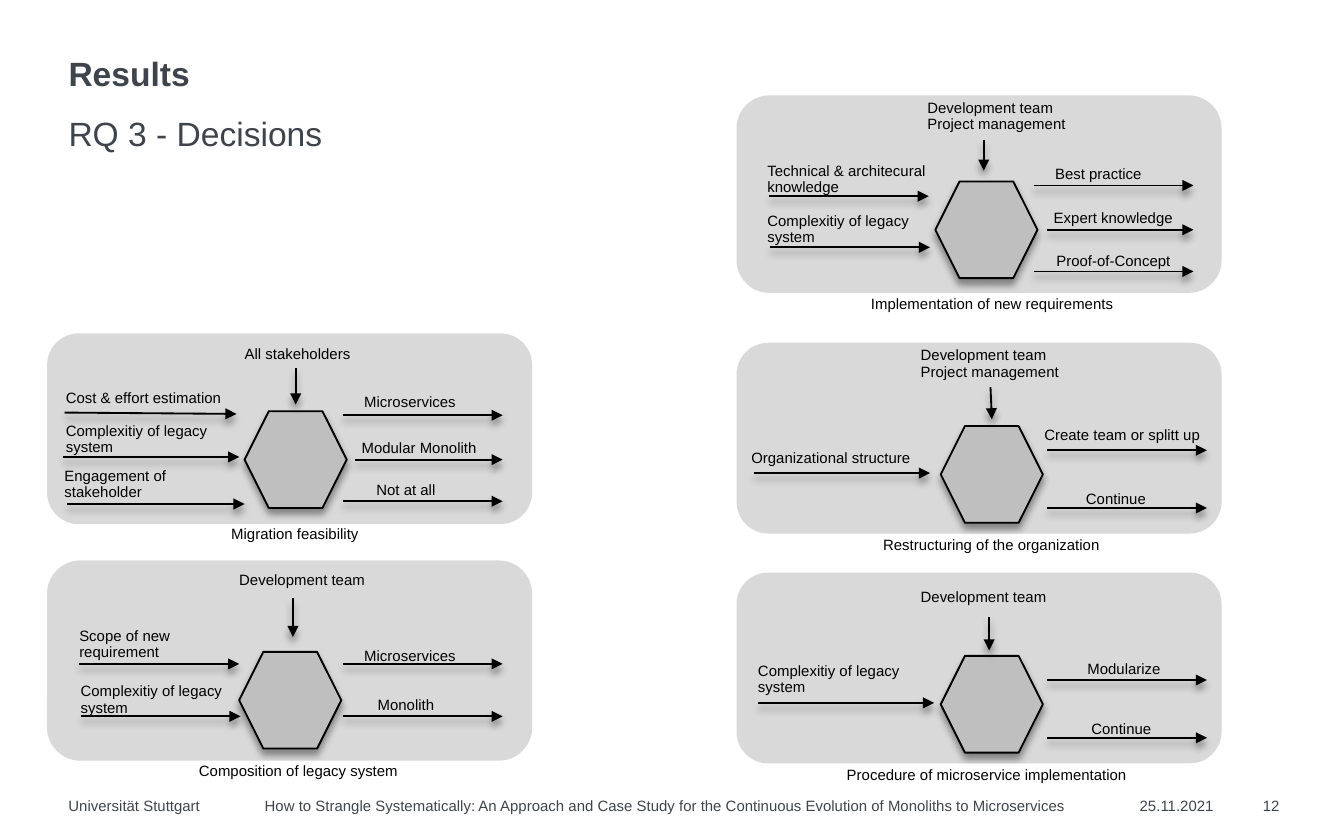
"""Build the slide on research question 3: five migration decisions with their inputs and outcomes."""
import pptx
import pptx.dml.color
import pptx.enum.shapes
import pptx.enum.text
import pptx.oxml
import pptx.oxml.ns
import pptx.util

COLORS = {"panel": "D9D9D9", "hexagon": "BFBFBF", "ink": "000000", "heading": "3E444C"}
SHAPE = pptx.enum.shapes.MSO_SHAPE
ALIGN = pptx.enum.text.PP_ALIGN
NAMESPACE = pptx.oxml.ns.nsdecls("a")
SHADOW = (
    f'<a:effectLst {NAMESPACE}><a:outerShdw blurRad="50800" dist="38100" dir="5400000" rotWithShape="0">'
    '<a:srgbClr val="000000"><a:alpha val="40000"/></a:srgbClr></a:outerShdw></a:effectLst>'
)

DECISIONS = [
    {
        "panel": (3.5, 24.8, 14.2), "hexagon": (18.2, 30.6),
        "actor": ("All stakeholders", 18.2, 25.8), "down": (22, 27.4, 22, 30.1),
        "inputs": [
            ("Cost & effort estimation", 4.9, 29.1, (4.8, 30.7, 17.6, 30.8)),
            ("Complexitiy of legacy\nsystem", 4.9, 31.5, (4.7, 34, 17.8, 34)),
            ("Engagement of\nstakeholder", 4.8, 34.9, (5, 37.5, 18.2, 37.5)),
        ],
        "outputs": [
            ("Microservices", 27.1, 29.4, (25.5, 30.9, 37.4, 30.9)),
            ("Modular Monolith", 26.9, 32.8, (26.4, 34.2, 37.4, 34.2)),
            ("Not at all", 28, 35.9, (25.5, 37.3, 37.4, 37.3)),
        ],
        "caption": ("Migration feasibility", 17.2, 39.2),
    },
    {
        "panel": (3.5, 41.7, 14.9), "hexagon": (17.8, 48.5),
        "actor": ("Development team", 17.8, 42.6), "down": (21.8, 44.5, 21.8, 47.4),
        "inputs": [
            ("Scope of new\nrequirement", 5.9, 46.8, (5.9, 49.4, 17.8, 49.4)),
            ("Complexitiy of legacy\nsystem", 6, 50.9, (6, 53.3, 17.9, 53.3)),
        ],
        "outputs": [
            ("Microservices", 27.1, 48.3, (25.5, 49.4, 37.4, 49.4)),
            ("Monolith", 28.1, 51.9, (25.5, 53.3, 37.4, 53.3)),
        ],
        "caption": ("Composition of legacy system", 14.8, 56.8),
    },
    {
        "panel": (54.8, 7.1, 14.7), "hexagon": (69.6, 13.5),
        "actor": ("Development team\nProject management", 69, 7.5), "down": (73.2, 10.4, 73.2, 12.7),
        "inputs": [
            ("Technical & architecural\nknowledge", 57.1, 12.2, (57.2, 14.6, 69.1, 14.6)),
            ("Complexitiy of legacy\nsystem", 57.1, 15.9, (57.3, 18.4, 69.2, 18.4)),
        ],
        "outputs": [
            ("Best practice", 78.5, 12.4, (76.9, 13.8, 88.8, 13.8)),
            ("Expert knowledge", 78.4, 15.7, (77.9, 17.1, 88.8, 17.1)),
            ("Proof-of-Concept", 78.6, 18.9, (76.9, 20.2, 88.8, 20.2)),
        ],
        "caption": ("Implementation of new requirements", 64.8, 22.1),
    },
    {
        "panel": (54.8, 42.6, 14.2), "hexagon": (70, 48.8),
        "actor": ("Development team", 68.5, 43.9), "down": (73.6, 45.9, 73.6, 48.4),
        "inputs": [("Complexitiy of legacy\nsystem", 56.4, 49.4, (56.4, 52.3, 69.5, 52.3))],
        "outputs": [
            ("Modularize", 80.9, 49.2, (77.9, 50.6, 89.8, 50.6)),
            ("Continue", 81.2, 53.7, (77.9, 54.9, 89.8, 54.9)),
        ],
        "caption": ("Procedure of microservice implementation", 63, 57.1),
    },
    {
        "panel": (54.8, 25.5, 14.2), "hexagon": (70, 31.7),
        "actor": ("Development team\nProject management", 68.5, 25.9), "down": (73.7, 28.8, 73.8, 31.2),
        "inputs": [("Organizational structure", 55.9, 33.5, (56.1, 35.2, 69.2, 35.2))],
        "outputs": [
            ("Create team or splitt up", 77.7, 31.8, (77.9, 33.5, 89.8, 33.5)),
            ("Continue", 80.8, 36.6, (77.9, 37.8, 89.8, 37.8)),
        ],
        "caption": ("Restructuring of the organization", 65.7, 40),
    },
]


def color(name):
    """Return the palette colour of that name."""
    return pptx.dml.color.RGBColor.from_string(COLORS[name])


def write(frame, text, size=8, ink="ink", bold=False, align=ALIGN.LEFT, spacing=0.9, before=0):
    """Fill a text frame with one paragraph per line of text."""
    frame.margin_left = frame.margin_right = frame.margin_top = frame.margin_bottom = 0
    frame.word_wrap = True
    frame.auto_size = pptx.enum.text.MSO_AUTO_SIZE.NONE
    frame.vertical_anchor = pptx.enum.text.MSO_ANCHOR.TOP
    frame.text = text
    for para in frame.paragraphs:
        para.alignment, para.line_spacing = align, spacing
        para.space_before = pptx.util.Pt(before)
        for span in para.runs:
            span.font.name, span.font.bold = "Arial", bold
            span.font.size = pptx.util.Pt(size)
            span.font.color.rgb = color(ink)


class Deck:
    """Hold the current slide and its grid of 100 columns by 62.5 rows."""

    def __init__(self):
        """Start a deck with one title-and-content page."""
        self.deck = pptx.Presentation()
        self.deck.slide_width, self.deck.slide_height = pptx.util.Inches(10), pptx.util.Inches(6.25)
        self.cell = self.deck.slide_width / 100
        self.page = self.deck.slides.add_slide(self.deck.slide_layouts[1])
        self.canvas = self.page.shapes

    def grid(self, *cells):
        """Turn grid cells into lengths."""
        return [pptx.util.Emu(round(cell * self.cell)) for cell in cells]

    def heading(self, index, text, place, **style):
        """Move and fill a placeholder of the template."""
        box = self.page.placeholders[index]
        box.left, box.top, box.width, box.height = self.grid(*place)
        write(box.text_frame, text, size=18, ink="heading", **style)
        for para in box.text_frame.paragraphs:
            properties = para._p.get_or_add_pPr()
            properties.set("marL", "0")
            properties.set("indent", "0")
            properties.append(pptx.oxml.parse_xml(f"<a:buNone {NAMESPACE}/>"))

    def label(self, text, *place, **style):
        """Add a text box."""
        write(self.canvas.add_textbox(*self.grid(*place)).text_frame, text, **style)

    def block(self, kind, fill, *place):
        """Add a filled shape without outline or shadow."""
        shape = self.canvas.add_shape(kind, *self.grid(*place))
        shape.shadow.inherit = False
        shape.fill.solid()
        shape.fill.fore_color.rgb = color(fill)
        shape.line.fill.background()
        return shape

    def outline(self, shape):
        """Give a shape or connector a thin dark line and a soft shadow."""
        shape.line.color.rgb = color("ink")
        shape.line.width = pptx.util.Pt(1)
        properties = shape._element.spPr
        for effects in properties.findall(pptx.oxml.ns.qn("a:effectLst")):
            properties.remove(effects)
        properties.append(pptx.oxml.parse_xml(SHADOW))

    def arrow(self, *ends):
        """Add an arrow from one grid point to another."""
        line = self.canvas.add_connector(pptx.enum.shapes.MSO_CONNECTOR.STRAIGHT, *self.grid(*ends))
        self.outline(line)
        line.line._get_or_add_ln().append(pptx.oxml.parse_xml(f'<a:tailEnd {NAMESPACE} type="triangle"/>'))

    def decision(self, panel, hexagon, actor, down, inputs, outputs, caption):
        """Add one grouped decision with its actor, inputs, outputs and caption."""
        self.canvas = self.page.shapes.add_group_shape().shapes
        left, top, height = panel
        self.block(SHAPE.ROUNDED_RECTANGLE, "panel", left, top, 36.1, height)
        self.outline(self.block(SHAPE.HEXAGON, "hexagon", *hexagon, 7.6, 7.2))
        self.label(*actor, 10.5, 4.4)
        self.arrow(*down)
        for flows, size in ((inputs, (13, 4.4)), (outputs, (12.5, 1.6))):
            for text, column, row, ends in flows:
                self.label(text, column, row, *size)
                self.arrow(*ends)
        self.label(*caption, 26.9, 1.8)
        self.canvas = self.page.shapes


def main():
    """Build and save the slide."""
    deck = Deck()
    deck.heading(0, "Results", (5.1, 4.3, 45.2, 6.3), bold=True)
    deck.heading(1, "RQ 3 - Decisions", (5.1, 7.8, 90.2, 3), spacing=1.2, before=7.5)
    for decision in DECISIONS:
        deck.decision(**decision)
    footer = {"ink": "heading", "spacing": 1}
    title = ("How to Strangle Systematically: An Approach and Case Study for the "
             "Continuous Evolution of Monoliths to Microservices")
    deck.label("Universität Stuttgart", 5.1, 59.3, 14, 1.4, **footer)
    deck.label(title, 19.7, 59.3, 60.4, 1.4, **footer)
    deck.label("25.11.2021", 84.8, 59.3, 5.8, 1.4, **footer)
    deck.label("12", 92.8, 59.3, 2.4, 1.4, align=ALIGN.RIGHT, **footer)
    deck.deck.save("out.pptx")


if __name__ == "__main__":
    main()
